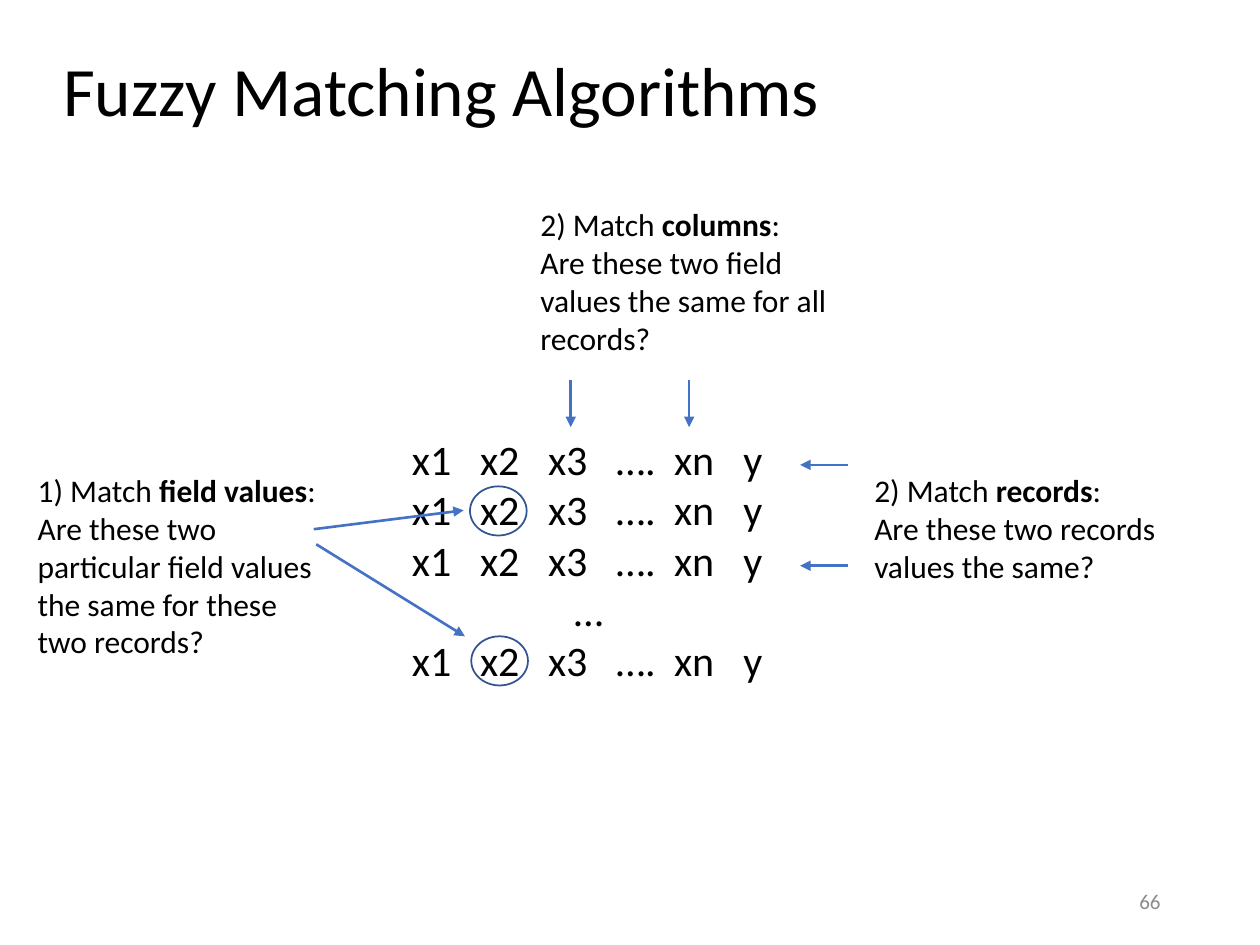
from lxml import etree
from pptx import Presentation
from pptx.dml.color import RGBColor
from pptx.enum.shapes import MSO_CONNECTOR, MSO_SHAPE
from pptx.enum.text import MSO_ANCHOR, MSO_AUTO_SIZE, PP_ALIGN
from pptx.oxml.ns import qn
from pptx.util import Inches, Pt

STRAIGHT = MSO_CONNECTOR.STRAIGHT
OVAL = MSO_SHAPE.OVAL
MIDDLE, TOP = MSO_ANCHOR.MIDDLE, MSO_ANCHOR.TOP
LEFT, CENTER, RIGHT = PP_ALIGN.LEFT, PP_ALIGN.CENTER, PP_ALIGN.RIGHT
FIT_SHAPE, NO_FIT = MSO_AUTO_SIZE.SHAPE_TO_FIT_TEXT, MSO_AUTO_SIZE.NONE

COLORS = {"text": "000000", "muted": "8C8C8C", "arrow": "4472C4", "ring": "325491"}
FONT = "Calibri"


class SlideBuilder:
    def __init__(self, prs):
        self.slide = prs.slides.add_slide(prs.slide_layouts[5])
        self.shapes = self.slide.shapes

    def color(self, name):
        return RGBColor.from_string(COLORS[name])

    def style(self, p, size, color="text", align=LEFT):
        p.alignment = align
        for r in p.runs:
            r.font.size = Pt(size)
            r.font.name = FONT
            r.font.color.rgb = self.color(color)

    def title(self, text, box):
        sp = self.shapes.title
        sp.left, sp.top, sp.width, sp.height = map(Inches, box)
        tf = sp.text_frame
        tf.text = text
        tf.auto_size = NO_FIT
        tf.vertical_anchor = MIDDLE
        tf.paragraphs[0].line_spacing = 0.9
        self.style(tf.paragraphs[0], 39.6)

    def text(self, lines, box, size, color="text", align=LEFT, anchor=TOP):
        tf = self.shapes.add_textbox(*map(Inches, box)).text_frame
        tf.word_wrap = True
        tf.auto_size = FIT_SHAPE if anchor == TOP else NO_FIT
        tf.vertical_anchor = anchor
        tf.text = "\n".join(lines)
        for p in tf.paragraphs:
            self.style(p, size, color, align)
        return tf

    def callout(self, lead, keyword, question, box):
        tf = self.text([lead, question], box, 18)
        p = tf.paragraphs[0]
        for text, bold in ((keyword, True), (":", False)):
            r = p.add_run()
            r.text = text
            r.font.bold = bold
        self.style(p, 18)

    def records(self, rows, box, insets, stops):
        tf = self.text(["\t".join(row) for row in rows], box, 24)
        tf.margin_left, tf.margin_right = map(Inches, insets)
        for p, row in zip(tf.paragraphs, rows):
            if len(row) == 1:
                p.alignment = CENTER
                continue
            tabs = etree.SubElement(p._p.get_or_add_pPr(), qn("a:tabLst"))
            for stop in stops:
                etree.SubElement(tabs, qn("a:tab"), pos=str(Inches(stop)), algn="l")

    def ring(self, box):
        sp = self.shapes.add_shape(OVAL, *map(Inches, box))
        sp.shadow.inherit = False
        sp.fill.background()
        sp.line.color.rgb = self.color("ring")
        sp.line.width = Pt(1)

    def arrow(self, start, end):
        c = self.shapes.add_connector(STRAIGHT, *map(Inches, start + end))
        c.line.color.rgb = self.color("arrow")
        c.line.width = Pt(1.5)
        etree.SubElement(c.line._get_or_add_ln(), qn("a:tailEnd"), type="triangle")
        etree.SubElement(c._element.spPr, qn("a:effectLst"))


def main():
    prs = Presentation()
    prs.slide_width, prs.slide_height = Inches(10), Inches(7.5)
    s = SlideBuilder(prs)

    # Title and slide number
    s.title("Fuzzy Matching Algorithms", (0.4, 0.57, 9.19, 0.35))
    s.text(["66"], (7.06, 6.95, 2.25, 0.4), 12, "muted", RIGHT, MIDDLE)

    # Records, one column per tab stop
    record = ["x1", "x2", "x3", "….", "xn", "y"]
    s.records([record] * 3 + [["… "], record], (2.69, 3.39, 3.94, 2.12),
              (0.58, 0.48), (0.54, 1.08, 1.62, 2.08, 2.63))

    # Callouts
    s.callout("1) Match ", "field values",
              "Are these two particular field values the same for these two records?",
              (0.2, 3.69, 2.49, 1.62))
    s.callout("2) Match ", "columns",
              "Are these two field values the same for all records?",
              (4.19, 1.58, 2.69, 1.31))
    s.callout("2) Match ", "records", "Are these two records values the same?",
              (6.84, 3.69, 2.69, 1.01))

    # Rings around the compared field values
    for left, top in ((3.73, 3.86), (3.74, 5.05)):
        s.ring((left, top, 0.45, 0.39))

    # Arrows to columns, records and field values
    for x in (4.53, 5.47):
        s.arrow((x, 3.02), (x, 3.39))
    for y in (4.49, 3.69):
        s.arrow((6.73, y), (6.35, y))
    s.arrow((2.49, 4.2), (3.68, 4.05))
    s.arrow((2.51, 4.32), (3.69, 5.05))

    prs.save("out.pptx")


if __name__ == "__main__":
    main()
